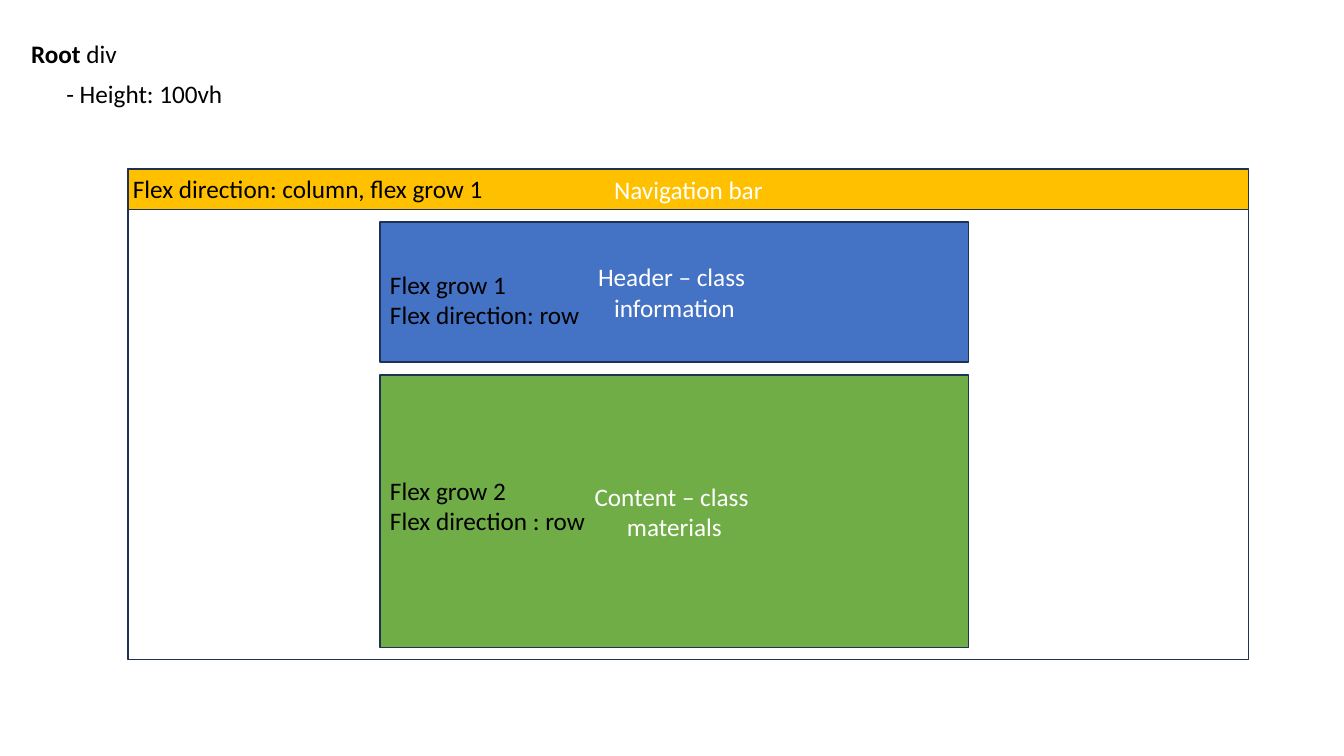
from dataclasses import dataclass

import pptx
import pptx.dml.color
import pptx.enum.shapes
import pptx.enum.text
import pptx.util

Pt = pptx.util.Pt
COLOURS = {
    "white": "FFFFFF",
    "black": "000000",
    "outline": "1E3256",
    "navigation": "FFC000",
    "header": "4472C4",
    "content": "70AD47",
}
FONT = {"name": "Calibri", "size": Pt(18)}
FRAME_LEFT, FRAME_WIDTH = 91.5, 800.5
COLUMN_LEFT, COLUMN_WIDTH = 271.5, 420.5


@dataclass
class Block:
    left: float
    top: float
    width: float
    height: float
    fill: str
    lines: tuple[str, ...] = ()


@dataclass
class Label:
    left: float
    top: float
    width: float
    height: float
    lines: tuple[str, ...]
    bold_start: str = ""


BLOCKS = [
    Block(FRAME_LEFT, 120.5, FRAME_WIDTH, 350.5, "white"),
    Block(FRAME_LEFT, 121, FRAME_WIDTH, 28.8, "navigation", ("Navigation bar",)),
    Block(COLUMN_LEFT, 158.5, COLUMN_WIDTH, 100, "header",
          ("Header – class ", "information")),
    Block(COLUMN_LEFT, 268, COLUMN_WIDTH, 194.5, "content",
          ("Content – class ", "materials")),
]
LABELS = [
    Label(15.2, 24, 76.3, 29, (" div",), bold_start="Root"),
    Label(40.3, 52.6, 127.4, 29, ("- Height: 100vh",)),
    Label(COLUMN_LEFT, 188.6, 151.2, 51, ("Flex grow 1", "Flex direction: row")),
    Label(COLUMN_LEFT, 335.8, 155.5, 51, ("Flex grow 2", "Flex direction : row")),
    Label(87.8, 120.2, 267.8, 29, ("Flex direction: column, flex grow 1",)),
]


def colour(name: str) -> pptx.dml.color.RGBColor:
    return pptx.dml.color.RGBColor.from_string(COLOURS[name])


def add_span(para, text: str, colour_name: str, bold: bool = False) -> None:
    span = para.add_run()
    span.text = text
    for key, value in {**FONT, "bold": bold}.items():
        setattr(span.font, key, value)
    span.font.color.rgb = colour(colour_name)


def write_lines(frame, lines: tuple[str, ...], colour_name: str,
                align: pptx.enum.text.PP_ALIGN, bold_start: str = "") -> None:
    """Write one paragraph per line, with an optional bold opening."""
    for index, line in enumerate(lines):
        para = frame.add_paragraph() if index else frame.paragraphs[0]
        para.alignment = align
        if bold_start and index == 0:
            add_span(para, bold_start, colour_name, bold=True)
        add_span(para, line, colour_name)


def draw_block(page, block: Block) -> None:
    box = page.shapes.add_shape(
        pptx.enum.shapes.MSO_SHAPE.RECTANGLE,
        Pt(block.left), Pt(block.top), Pt(block.width), Pt(block.height))
    box.shadow.inherit = False
    box.fill.solid()
    box.fill.fore_color.rgb = colour(block.fill)
    box.line.color.rgb = colour("outline")
    box.line.width = Pt(1)
    box.text_frame.vertical_anchor = pptx.enum.text.MSO_ANCHOR.MIDDLE
    write_lines(box.text_frame, block.lines, "white",
                pptx.enum.text.PP_ALIGN.CENTER)


def draw_label(page, label: Label) -> None:
    box = page.shapes.add_textbox(
        Pt(label.left), Pt(label.top), Pt(label.width), Pt(label.height))
    frame_format = {
        "word_wrap": False,
        "auto_size": pptx.enum.text.MSO_AUTO_SIZE.SHAPE_TO_FIT_TEXT,
    }
    for key, value in frame_format.items():
        setattr(box.text_frame, key, value)
    write_lines(box.text_frame, label.lines, "black",
                pptx.enum.text.PP_ALIGN.LEFT, label.bold_start)


def main() -> None:
    deck = pptx.Presentation()
    deck.slide_width, deck.slide_height = Pt(960), Pt(540)
    page = deck.slides.add_slide(deck.slide_layouts[6])
    for block in BLOCKS:
        draw_block(page, block)
    for label in LABELS:
        draw_label(page, label)
    deck.save("out.pptx")


if __name__ == "__main__":
    main()
